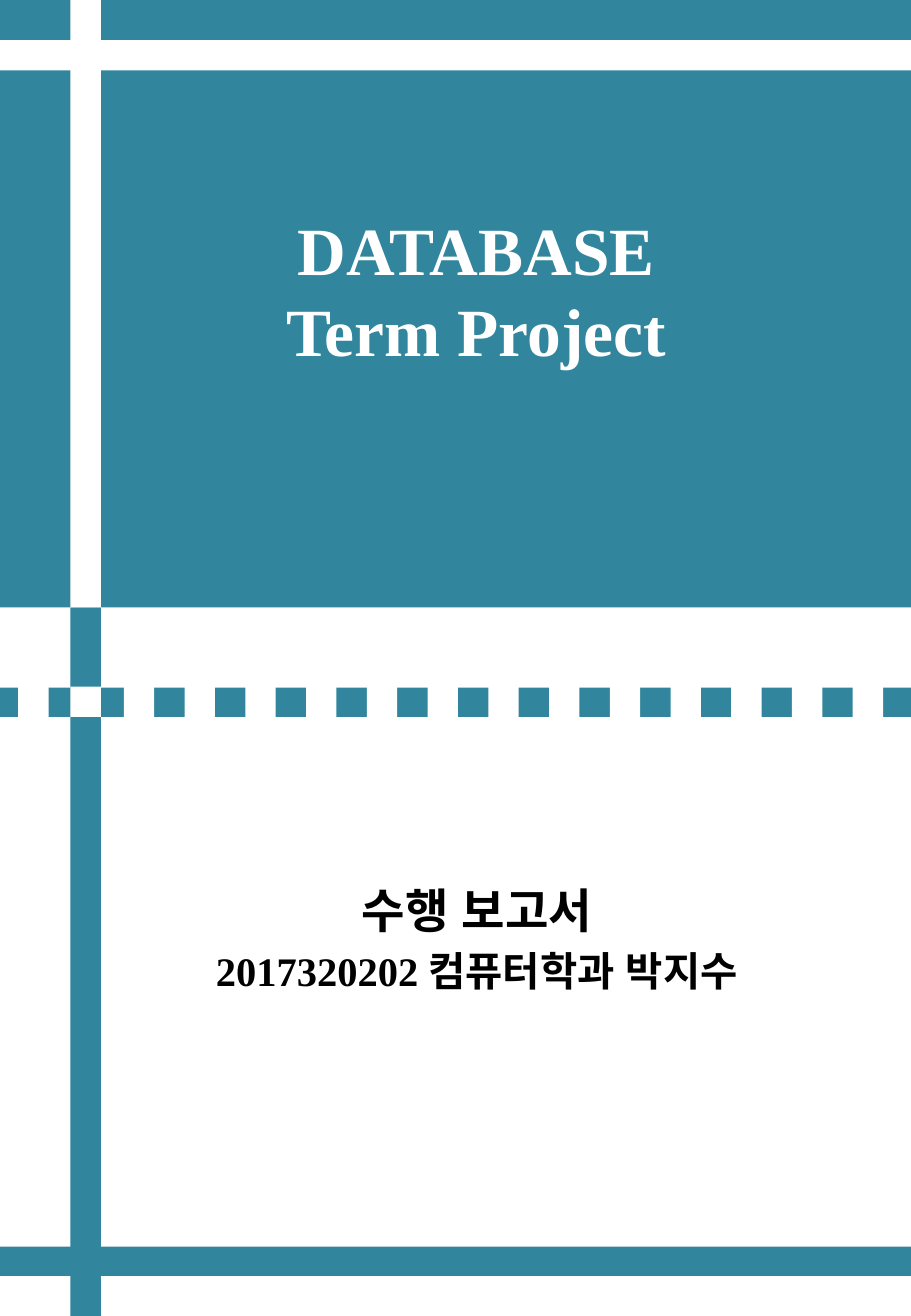
from pptx import Presentation
from pptx.dml.color import RGBColor
from pptx.enum.lang import MSO_LANGUAGE_ID
from pptx.enum.shapes import MSO_SHAPE
from pptx.enum.text import MSO_ANCHOR, MSO_AUTO_SIZE, PP_ALIGN
from pptx.util import Inches, Pt

WIDTH, HEIGHT = 7.5, 10.83
BAND = 0.25
SPINE_LEFT = 0.58
PANEL_HEIGHT = 5
TEAL, WHITE, BLACK = "31859C", "FFFFFF", "000000"


def color(value):
    """Turn a hex string into a colour."""
    return RGBColor.from_string(value)


def add_block(slide, box, fill):
    """Draw a plain rectangle without outline."""
    block = slide.shapes.add_shape(MSO_SHAPE.RECTANGLE, *map(Inches, box))
    block.shadow.inherit = False
    block.fill.solid()
    block.fill.fore_color.rgb = color(fill)
    block.line.fill.background()


def add_span(para, text, size, fill):
    """Add one bold run to a centred paragraph."""
    para.alignment = PP_ALIGN.CENTER
    span = para.add_run()
    span.text = text
    span.font.name = "Times New Roman"
    span.font.size = Pt(size)
    span.font.bold = True
    span.font.color.rgb = color(fill)
    return span


def place(slide, holder, box):
    """Move a placeholder to its box, in front of the blocks."""
    holder.left, holder.top, holder.width, holder.height = map(Inches, box)
    slide.shapes.element.append(holder.element)
    frame = holder.text_frame
    frame.word_wrap = True
    frame.auto_size = MSO_AUTO_SIZE.NONE
    return frame


def add_panel(slide, box):
    """Draw the teal panel with its white cross bands."""
    left, top, width, height = box
    add_block(slide, box, TEAL)
    add_block(slide, (left + SPINE_LEFT, top, BAND, height), WHITE)
    add_block(slide, (left, top + 0.33, width, BAND), WHITE)


def add_lower_bands(slide, box):
    """Draw the spine, the foot band and the dashed band."""
    left, top, width, height = box
    dash_top = top + 0.65
    add_block(slide, (left, top + height - 0.57, width, 0.24), TEAL)
    add_block(slide, (left + SPINE_LEFT, top, BAND, height), TEAL)
    add_block(slide, (left, dash_top + 0.01, width, 0.24), TEAL)
    gaps = [0.15, SPINE_LEFT] + [1.02 + 2 * BAND * step for step in range(13)]
    for gap in gaps:
        add_block(slide, (left + gap, dash_top, BAND, BAND), WHITE)


def add_title(slide, box):
    """Fill the title in two lines."""
    frame = place(slide, slide.shapes.title, box)
    frame.vertical_anchor = MSO_ANCHOR.MIDDLE
    frame.margin_right = Inches(0.3)
    para = frame.paragraphs[0]
    para.line_spacing = Pt(48)
    add_span(para, "DATABASE", 40, WHITE)
    para.add_line_break()
    add_span(para, "Term Project", 40, WHITE)


def add_subtitle(slide, box):
    """Fill the report type and the author."""
    frame = place(slide, slide.placeholders[1], box)
    frame.vertical_anchor = MSO_ANCHOR.TOP
    lines = [("수행 보고서", 28), ("2017320202 컴퓨터학과 박지수", 24)]
    for index, (text, size) in enumerate(lines):
        para = frame.add_paragraph() if index else frame.paragraphs[0]
        if not index:
            para.space_before = Pt(0)
        span = add_span(para, text, size, BLACK)
        span.font.language_id = MSO_LANGUAGE_ID.KOREAN


def main():
    """Build the cover and save it."""
    deck = Presentation()
    deck.slide_width, deck.slide_height = Inches(WIDTH), Inches(HEIGHT)
    page = deck.slides.add_slide(deck.slide_layouts[0])
    add_panel(page, (0, 0, WIDTH, PANEL_HEIGHT))
    add_lower_bands(page, (0, PANEL_HEIGHT, WIDTH, HEIGHT - PANEL_HEIGHT))
    add_title(page, (0.83, 1.65, 6.38, 1.45))
    add_subtitle(page, (1.3, 7.2, 5.25, 1.76))
    deck.save("out.pptx")


if __name__ == "__main__":
    main()
